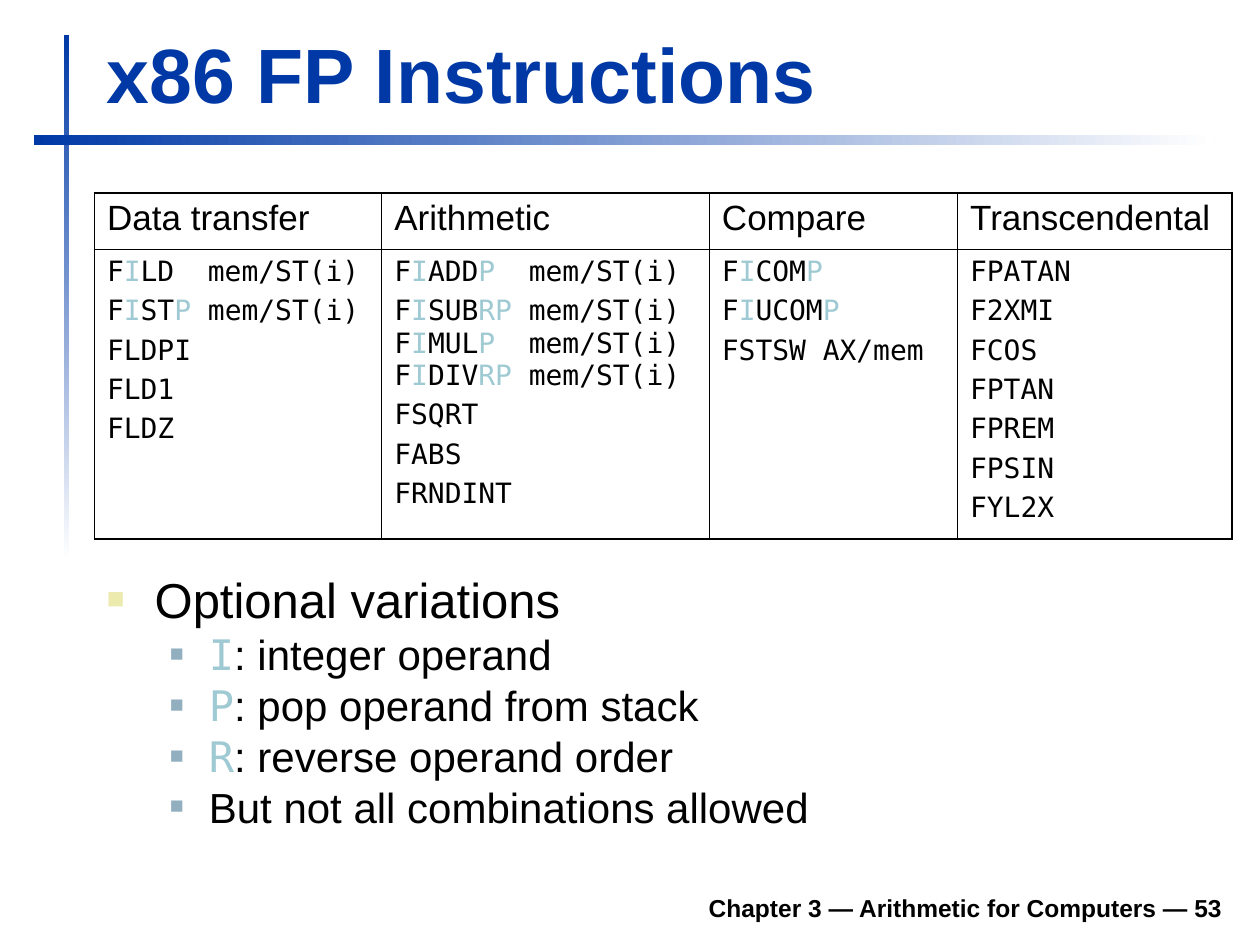
from lxml.etree import SubElement, Element
from pptx import Presentation
from pptx.dml.color import RGBColor
from pptx.enum.shapes import MSO_SHAPE
from pptx.enum.text import MSO_ANCHOR, PP_ALIGN
from pptx.oxml.ns import qn
from pptx.util import Inches, Pt

BLACK, BLUE, WHITE, OPTIONAL = "000000", "0039A6", "FFFFFF", "9FCAD3"
SANS, MONO = "Arial", "DejaVu Sans Mono"
OUTER, HEADER_RULE, INNER = 1.08, 0.75, 0.45

# Optional letters stand in braces; a newline breaks the line within a paragraph.
INSTRUCTIONS = {
    "Data transfer": ["F{I}LD  mem/ST(i)", "F{I}ST{P} mem/ST(i)", "FLDPI", "FLD1", "FLDZ"],
    "Arithmetic": [
        "F{I}ADD{P}  mem/ST(i)",
        "F{I}SUB{RP} mem/ST(i)\nF{I}MUL{P}  mem/ST(i)\nF{I}DIV{RP} mem/ST(i)",
        "FSQRT", "FABS", "FRNDINT",
    ],
    "Compare": ["F{I}COM{P}", "F{I}UCOM{P}", "FSTSW AX/mem"],
    "Transcendental": ["FPATAN", "F2XMI", "FCOS", "FPTAN", "FPREM", "FPSIN", "FYL2X"],
}
VARIATIONS = [
    "{I}: integer operand",
    "{P}: pop operand from stack",
    "{R}: reverse operand order",
    "But not all combinations allowed",
]


def color(hex_string):
    return RGBColor.from_string(hex_string)


def inches(box):
    return [Inches(length) for length in box]


def add_run(paragraph, text, size, font=SANS, fill=BLACK, bold=False):
    run = paragraph.add_run()
    run.text = text
    run.font.size = Pt(size)
    run.font.name = font
    run.font.bold = bold
    run.font.color.rgb = color(fill)


def add_marked_text(paragraph, text, size, font):
    """Add runs, with the letters in braces set as optional ones."""
    for number, line in enumerate(text.split("\n")):
        if number:
            paragraph.add_line_break()
        for piece in line.replace("}", "{").split("{"):
            if piece in ("I", "P", "R", "RP"):
                add_run(paragraph, piece, size, MONO, OPTIONAL)
            elif piece:
                add_run(paragraph, piece, size, font)


def paragraphs(text_frame, count, space_before):
    """Yield paragraphs, spaced from the second one on."""
    for number in range(count):
        paragraph = text_frame.add_paragraph() if number else text_frame.paragraphs[0]
        paragraph.space_before = Pt(space_before if number else 0)
        yield paragraph


def add_text_frame(slide, box, anchor):
    text_frame = slide.shapes.add_textbox(*inches(box)).text_frame
    text_frame.word_wrap = True
    text_frame.vertical_anchor = anchor
    return text_frame


def add_fading_bar(slide, box, angle):
    bar = slide.shapes.add_shape(MSO_SHAPE.RECTANGLE, *inches(box))
    bar.shadow.inherit = False
    bar.line.fill.background()
    bar.fill.gradient()
    bar.fill.gradient_angle = angle
    for stop, shade in zip(bar.fill.gradient_stops, (BLUE, WHITE)):
        stop.color.rgb = color(shade)


def add_line(slide, box, text, size, fill, anchor=MSO_ANCHOR.BOTTOM, align=PP_ALIGN.LEFT):
    paragraph = add_text_frame(slide, box, anchor).paragraphs[0]
    paragraph.alignment = align
    add_run(paragraph, text, size, fill=fill, bold=True)


def set_borders(cell, widths):
    """Draw black borders: left, right, top, bottom widths in points."""
    properties = cell._tc.get_or_add_tcPr()
    for position, (side, width) in enumerate(zip("LRTB", widths)):
        border = Element(qn(f"a:ln{side}"), w=str(Pt(width)))
        fill = SubElement(border, qn("a:solidFill"))
        SubElement(fill, qn("a:srgbClr"), val=BLACK)
        properties.insert(position, border)


def add_instruction_table(slide, box, column_widths, row_heights):
    columns = len(INSTRUCTIONS)
    table = slide.shapes.add_table(2, columns, *inches(box)).table
    table.first_row = table.horz_banding = False
    for column, width in zip(table.columns, column_widths):
        column.width = Inches(width)
    for row, height in zip(table.rows, row_heights):
        row.height = Inches(height)
    for index, (heading, lines) in enumerate(INSTRUCTIONS.items()):
        left = INNER if index else OUTER
        right = INNER if index < columns - 1 else OUTER
        rows = [
            ([heading], 20, SANS, (OUTER, HEADER_RULE)),
            (lines, 16, MONO, (HEADER_RULE, OUTER)),
        ]
        for row, (texts, size, font, top_bottom) in enumerate(rows):
            cell = table.cell(row, index)
            cell.fill.background()
            set_borders(cell, (left, right, *top_bottom))
            for paragraph, text in zip(paragraphs(cell.text_frame, len(texts), 4), texts):
                add_marked_text(paragraph, text, size, font)


def add_bullet(paragraph, margin, hanging, fill, percent):
    properties = paragraph._p.get_or_add_pPr()
    properties.set("marL", str(Inches(margin)))
    properties.set("indent", str(-Inches(hanging)))
    bullet_color = SubElement(properties, qn("a:buClr"))
    SubElement(bullet_color, qn("a:srgbClr"), val=fill)
    SubElement(properties, qn("a:buSzPct"), val=str(percent * 1000))
    SubElement(properties, qn("a:buFont"), typeface=SANS)
    SubElement(properties, qn("a:buChar"), char="■")


def add_variations(slide, box):
    text_frame = add_text_frame(slide, box, MSO_ANCHOR.TOP)
    texts = ["Optional variations", *VARIATIONS]
    for number, paragraph in enumerate(paragraphs(text_frame, len(texts), 6)):
        paragraph.line_spacing = 0.8
        if number:
            paragraph.level = 1
            add_bullet(paragraph, 0.81, 0.31, "91AFBF", 55)
        else:
            add_bullet(paragraph, 0.38, 0.38, "ECEAAC", 60)
        add_marked_text(paragraph, texts[number], 24 if number else 28, SANS)


def main():
    presentation = Presentation()
    presentation.slide_width, presentation.slide_height = inches((10, 7.5))
    slide = presentation.slides.add_slide(presentation.slide_layouts[6])
    left, width = 0.75, 9.03
    add_fading_bar(slide, (0.51, 0.28, 0.04, 4.17), 270)
    add_fading_bar(slide, (0.27, 1.07, 9.37, 0.08), 0)
    add_line(slide, (1.85, 6.98, 7.95, 0.39), "Chapter 3 — Arithmetic for Computers — 53",
             14, BLACK, align=PP_ALIGN.RIGHT)
    add_line(slide, (left, 0.16, width, 0.83), "x86 FP Instructions", 44, BLUE)
    add_variations(slide, (left, 4.56, width, 2.26))
    add_instruction_table(slide, (left, 1.53, width, 2.75), (2.28, 2.6, 1.97, 2.18), (0.45, 2.3))
    presentation.save("out.pptx")


if __name__ == "__main__":
    main()
